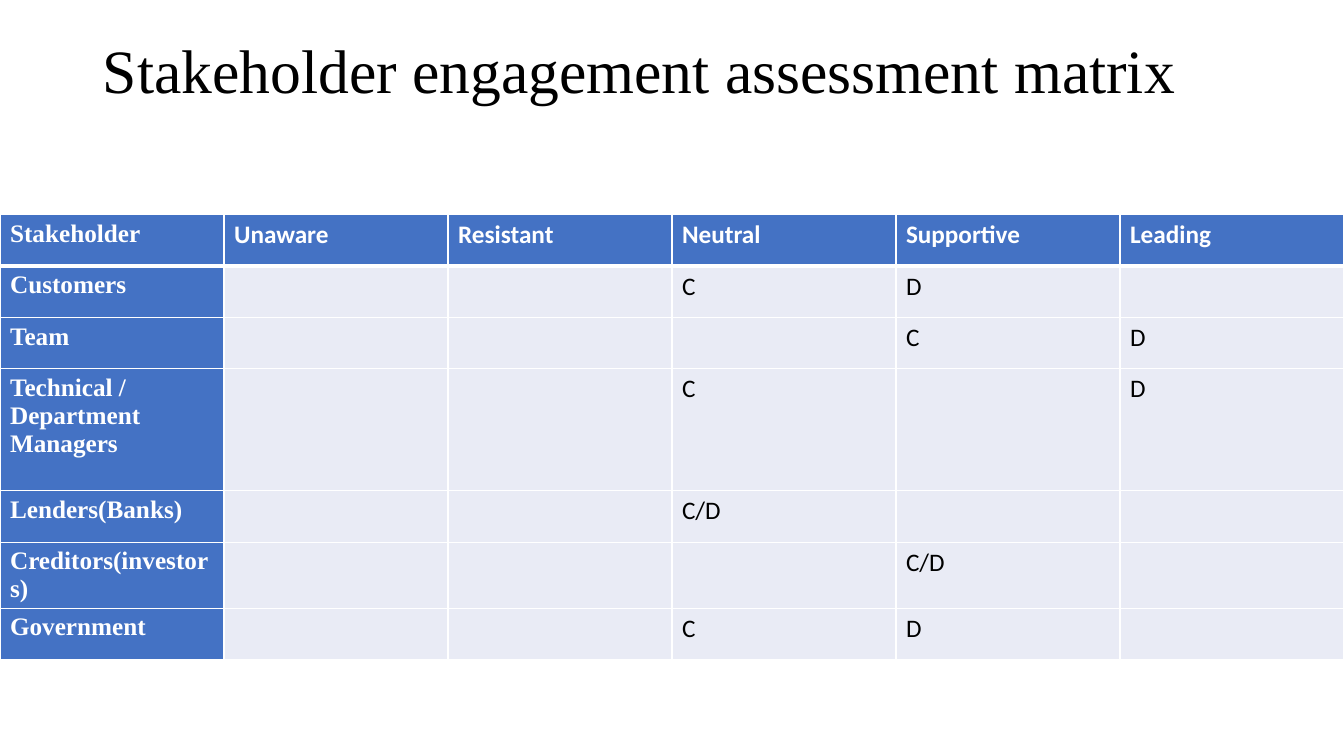
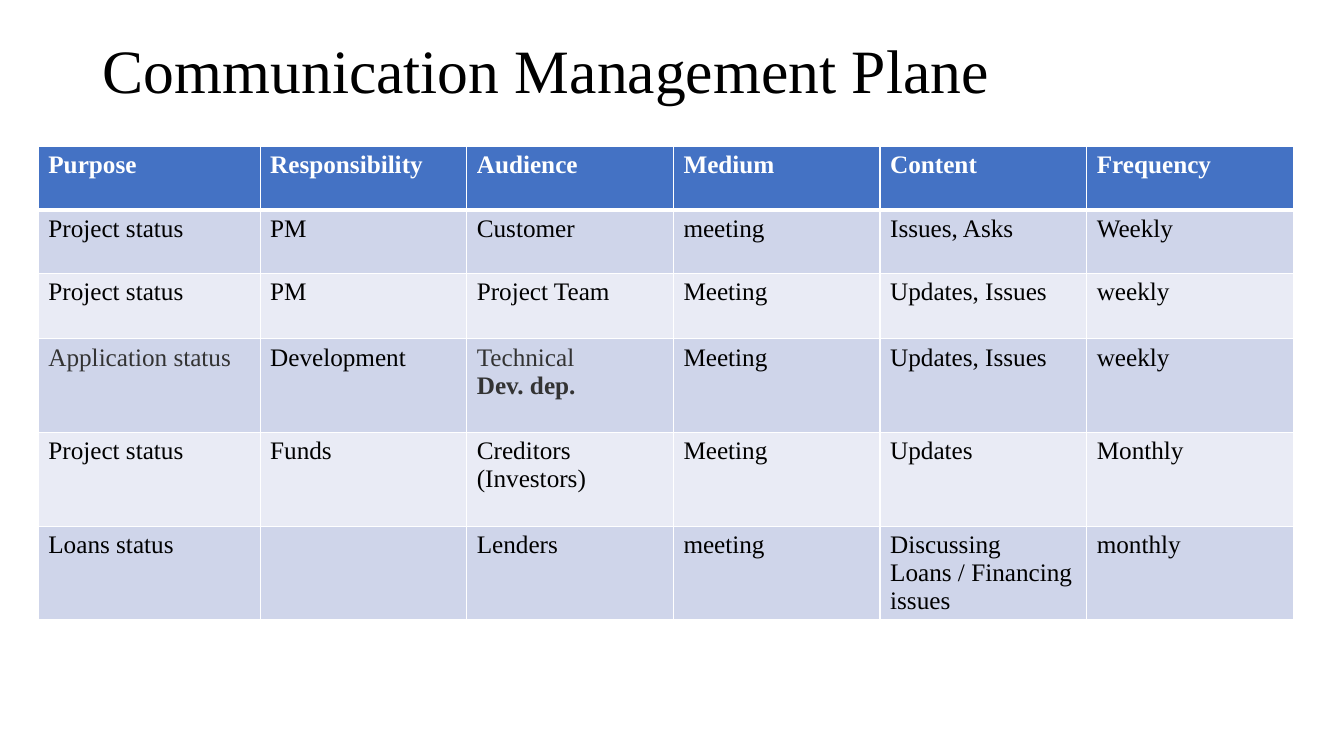
from lxml.etree import SubElement
from pptx import Presentation
from pptx.dml.color import RGBColor as RGB
from pptx.enum.text import MSO_ANCHOR as Anchor, MSO_AUTO_SIZE as Fit, PP_ALIGN as Align
from pptx.oxml.ns import qn
from pptx.util import Inches, Pt

WHITE, BLACK = RGB(255, 255, 255), RGB(0, 0, 0)
GREY = RGB(0x33, 0x33, 0x33)
BLUE = RGB(0x44, 0x72, 0xC4)
PALE, TINT = RGB(0xE9, 0xEB, 0xF5), RGB(0xCF, 0xD5, 0xEA)
SERIF, SANS = "Times New Roman", "Calibri"

LEVELS = ["Unaware", "Resistant", "Neutral", "Supportive", "Leading"]
MARKS = [
    ("Customers", {"Neutral": "C", "Supportive": "D"}),
    ("Team", {"Supportive": "C", "Leading": "D"}),
    ("Technical / Department Managers", {"Neutral": "C", "Leading": "D"}),
    ("Lenders(Banks)", {"Neutral": "C/D"}),
    ("Creditors(investors)", {"Supportive": "C/D"}),
    ("Government", {"Neutral": "C", "Supportive": "D"}),
]
MATRIX = [["Stakeholder", *LEVELS]] + [
    [name, *(marks.get(level, "") for level in LEVELS)] for name, marks in MARKS
]
PLAN = [
    ["Purpose", "Responsibility", "Audience", "Medium", "Content", "Frequency"],
    ["Project status", "PM", "Customer", "meeting", "Issues, Asks", "Weekly"],
    ["Project status", "PM", "Project Team", "Meeting", "Updates, Issues", "weekly"],
    ["Application status", "Development", "Technical\nDev. dep.", "Meeting",
     "Updates, Issues", "weekly"],
    ["Project status", "Funds", "Creditors (Investors)", "Meeting", "Updates", "Monthly"],
    ["Loans status", "", "Lenders", "meeting", "Discussing\nLoans / Financing issues",
     "monthly"],
]
GREY_TEXT = {"Application status", "Technical", "Dev. dep."}
BOLD_TEXT = {"Dev. dep."}


def matrix_style(row, col):
    """Return fill, font and whether the cell is a heading."""
    head = row == 0 or col == 0
    return BLUE if head else PALE, SERIF if col == 0 else SANS, head


def plan_style(row, col):
    """Return fill, font and whether the cell is a heading."""
    return BLUE if row == 0 else TINT if row % 2 else PALE, SERIF, row == 0


def add_borders(cell, row):
    """Draw white cell edges, with a thick rule below the first row."""
    props = cell._tc.get_or_add_tcPr()
    thick = {0: "lnB", 1: "lnT"}.get(row)
    for side in ("lnL", "lnR", "lnT", "lnB"):
        line = SubElement(props, qn(f"a:{side}"), w=str(Pt(3 if side == thick else 1)))
        fill = SubElement(line, qn("a:solidFill"))
        SubElement(fill, qn("a:srgbClr"), val=str(WHITE))


def fill_cell(cell, text, row, style):
    color, font, head = style
    add_borders(cell, row)
    cell.fill.solid()
    cell.fill.fore_color.rgb = color
    cell.text_frame.text = text
    for para in cell.text_frame.paragraphs:
        para.font.size = Pt(18)
        for run in para.runs:
            run.font.name = font
            run.font.size = Pt(18)
            run.font.bold = head or run.text in BOLD_TEXT
            run.font.color.rgb = WHITE if head else GREY if run.text in GREY_TEXT else BLACK


def add_title(slide, text):
    title = slide.shapes.title
    title.left, title.top = Inches(0.92), Inches(0)
    title.width, title.height = Inches(11.5), Inches(1.45)
    frame = title.text_frame
    frame.text = text
    frame.auto_size = Fit.NONE
    frame.vertical_anchor = Anchor.MIDDLE
    para = frame.paragraphs[0]
    para.alignment = Align.LEFT
    para.line_spacing = 0.9
    font = para.runs[0].font
    font.name, font.size, font.color.rgb = SERIF, Pt(44), BLACK


def add_grid(slide, data, left, top, widths, heights, style):
    table = slide.shapes.add_table(
        len(data), len(widths), Inches(left), Inches(top),
        Inches(sum(widths)), Inches(sum(heights))).table
    for col, width in zip(table.columns, widths):
        col.width = Inches(width)
    for row, height in zip(table.rows, heights):
        row.height = Inches(height)
    for r, texts in enumerate(data):
        for c, text in enumerate(texts):
            fill_cell(table.cell(r, c), text, r, style(r, c))


SLIDES = [
    ("Stakeholder engagement assessment matrix", MATRIX, 0, 2.13,
     [13.33 / 6] * 6, [0.51, 0.51, 0.51, 1.21, 0.51, 0.65, 0.51], matrix_style),
    ("Communication Management Plane", PLAN, 0.38, 1.45,
     [2.2] + [2.05] * 5, [0.63, 0.63, 0.65] + [0.93] * 3, plan_style),
]


def main():
    prs = Presentation()
    prs.slide_width, prs.slide_height = Inches(13.33), Inches(7.5)
    for title, *grid in SLIDES:
        slide = prs.slides.add_slide(prs.slide_layouts[5])
        add_title(slide, title)
        add_grid(slide, *grid)
    prs.save("out.pptx")


if __name__ == "__main__":
    main()
